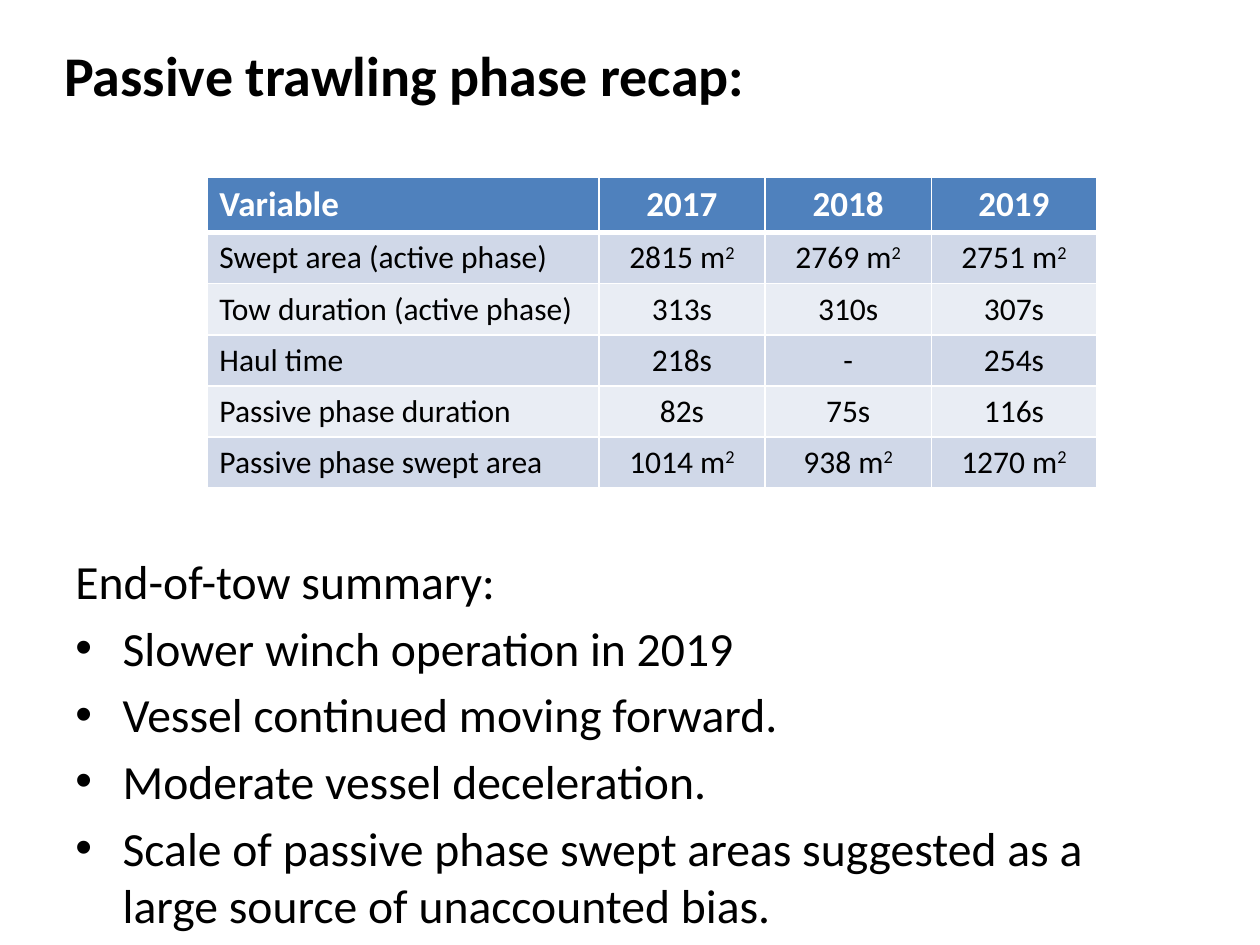
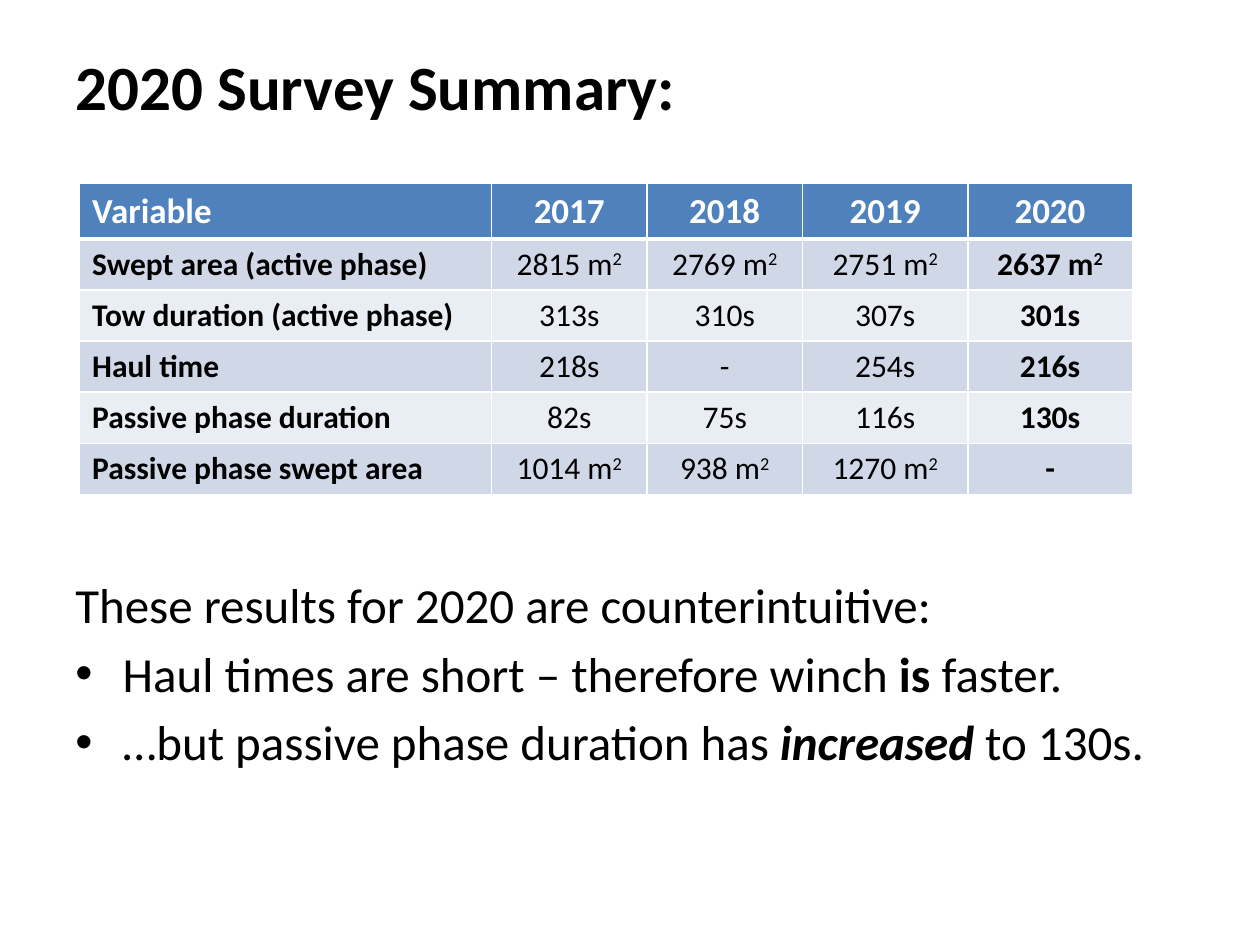
import pptx
import pptx.dml.color
import pptx.enum.text
import pptx.oxml
import pptx.oxml.ns
import pptx.util

Pt = pptx.util.Pt
RGBColor = pptx.dml.color.RGBColor
Align = pptx.enum.text.PP_ALIGN
Anchor = pptx.enum.text.MSO_ANCHOR

BLACK = RGBColor(0x00, 0x00, 0x00)
WHITE = RGBColor(0xFF, 0xFF, 0xFF)
HEADER_BLUE = RGBColor(0x4F, 0x81, 0xBD)
BAND_FILLS = (RGBColor(0xD0, 0xD8, 0xE8), RGBColor(0xE9, 0xED, 0xF4))
NAMESPACE = pptx.oxml.ns.nsdecls("a")

# Survey measures by year; "^" marks the start of a superscript
YEARS = ("2017", "2018", "2019", "2020")
MEASURES = (
    ("Swept area (active phase)", "2815 m^2", "2769 m^2", "2751 m^2", "2637 m^2"),
    ("Tow duration (active phase)", "313s", "310s", "307s", "301s"),
    ("Haul time", "218s", "-", "254s", "216s"),
    ("Passive phase duration", "82s", "75s", "116s", "130s"),
    ("Passive phase swept area", "1014 m^2", "938 m^2", "1270 m^2", "-"),
)


class Deck:
    font_name = "Calibri"
    row_height = 29.2
    bullet_indent = 27

    def __init__(self):
        self.presentation = pptx.Presentation()
        self.presentation.slide_width = Pt(720)
        self.presentation.slide_height = Pt(540)
        self.slide = None

    def add_run(self, paragraph, text, size, color=BLACK, bold=False,
                italic=False, superscript=False):
        run = paragraph.add_run()
        run.text = text
        font = run.font
        font.name, font.size = self.font_name, Pt(size)
        font.bold, font.italic = bold, italic
        font.color.rgb = color
        if superscript:
            run._r.get_or_add_rPr().set("baseline", "30000")

    def add_slide(self, title, left, top, width, height, size):
        layout = self.presentation.slide_layouts.get_by_name("Title Only")
        self.slide = self.presentation.slides.add_slide(layout)
        shape = self.slide.shapes.title
        shape.left, shape.top = Pt(left), Pt(top)
        shape.width, shape.height = Pt(width), Pt(height)
        shape.text_frame.vertical_anchor = Anchor.MIDDLE
        paragraph = shape.text_frame.paragraphs[0]
        paragraph.alignment = Align.LEFT
        self.add_run(paragraph, title, size, bold=True)

    def add_borders(self, cell, top, bottom):
        properties = cell._tc.get_or_add_tcPr()
        for side, width in (("L", 1), ("R", 1), ("T", top), ("B", bottom)):
            properties.append(pptx.oxml.parse_xml(
                f'<a:ln{side} {NAMESPACE} w="{Pt(width)}"><a:solidFill>'
                f'<a:srgbClr val="{WHITE}"/></a:solidFill></a:ln{side}>'))

    def add_table(self, left, top, column_widths, bold_columns=()):
        """Show as many years as there are columns for them."""
        column_count = len(column_widths)
        rows = (("Variable",) + YEARS,) + MEASURES
        table = self.slide.shapes.add_table(
            len(rows), column_count, Pt(left), Pt(top), Pt(sum(column_widths)),
            Pt(self.row_height * len(rows))).table
        for column, width in zip(table.columns, column_widths):
            column.width = Pt(width)
        for row_index, values in enumerate(rows):
            table.rows[row_index].height = Pt(self.row_height)
            header = row_index == 0
            fill = HEADER_BLUE if header else BAND_FILLS[(row_index - 1) % 2]
            for column_index, value in enumerate(values[:column_count]):
                cell = table.cell(row_index, column_index)
                self.add_borders(cell, 3 if row_index == 1 else 1, 3 if header else 1)
                cell.fill.solid()
                cell.fill.fore_color.rgb = fill
                paragraph = cell.text_frame.paragraphs[0]
                paragraph.alignment = Align.CENTER if column_index else Align.LEFT
                style = dict(size=20 if header else 18,
                             color=WHITE if header else BLACK,
                             bold=header or column_index in bold_columns)
                base, _, exponent = value.partition("^")
                self.add_run(paragraph, base, **style)
                if exponent:
                    self.add_run(paragraph, exponent, superscript=True, **style)

    def add_bullet(self, paragraph):
        properties = paragraph._p.get_or_add_pPr()
        properties.set("marL", str(Pt(self.bullet_indent)))
        properties.set("indent", str(-Pt(self.bullet_indent)))
        for element in ('buFont {} typeface="Arial"', 'buChar {} char="•"'):
            properties.append(pptx.oxml.parse_xml(f"<a:{element.format(NAMESPACE)}/>"))

    def add_summary(self, top, height, size, lead, bullets):
        """Each bullet is a list of (text, style) runs."""
        box = self.slide.shapes.add_textbox(Pt(36), Pt(top), Pt(648), Pt(height))
        frame = box.text_frame
        frame.word_wrap = True
        self.add_run(frame.paragraphs[0], lead, size)
        for runs in bullets:
            paragraph = frame.add_paragraph()
            self.add_bullet(paragraph)
            paragraph.space_before = Pt(size * 0.2)
            for text, style in runs:
                self.add_run(paragraph, text, size, **style)


def main():
    deck = Deck()

    # Passive phase recap, 2017 to 2019
    deck.add_slide("Passive trawling phase recap:", 29.5, 17.3, 648, 50.4, 32)
    deck.add_table(118.2, 101.2, (224, 95, 95, 94.5))
    deck.add_summary(311.8, 204.5, 27.2, "End-of-tow summary:", [
        [(text, {})] for text in (
            "Slower winch operation in 2019",
            "Vessel continued moving forward.",
            "Moderate vessel deceleration.",
            "Scale of passive phase swept areas suggested as a large source "
            "of unaccounted bias.",
        )])

    # 2020 results beside the earlier years
    deck.add_slide("2020 Survey Summary:", 36, 21.6, 648, 54.7, 36)
    deck.add_table(45.5, 104.8, (235.5, 88.7, 89, 94.4, 94), bold_columns=(0, 4))
    deck.add_summary(324.7, 145.4, 28, "These results for 2020 are counterintuitive:", [
        [("Haul times are short – therefore winch ", {}),
         ("is", {"bold": True}), (" faster.", {})],
        [("…but passive phase duration has ", {}),
         ("increased", {"bold": True, "italic": True}), (" to 130s.", {})],
    ])

    deck.presentation.save("out.pptx")


if __name__ == "__main__":
    main()
